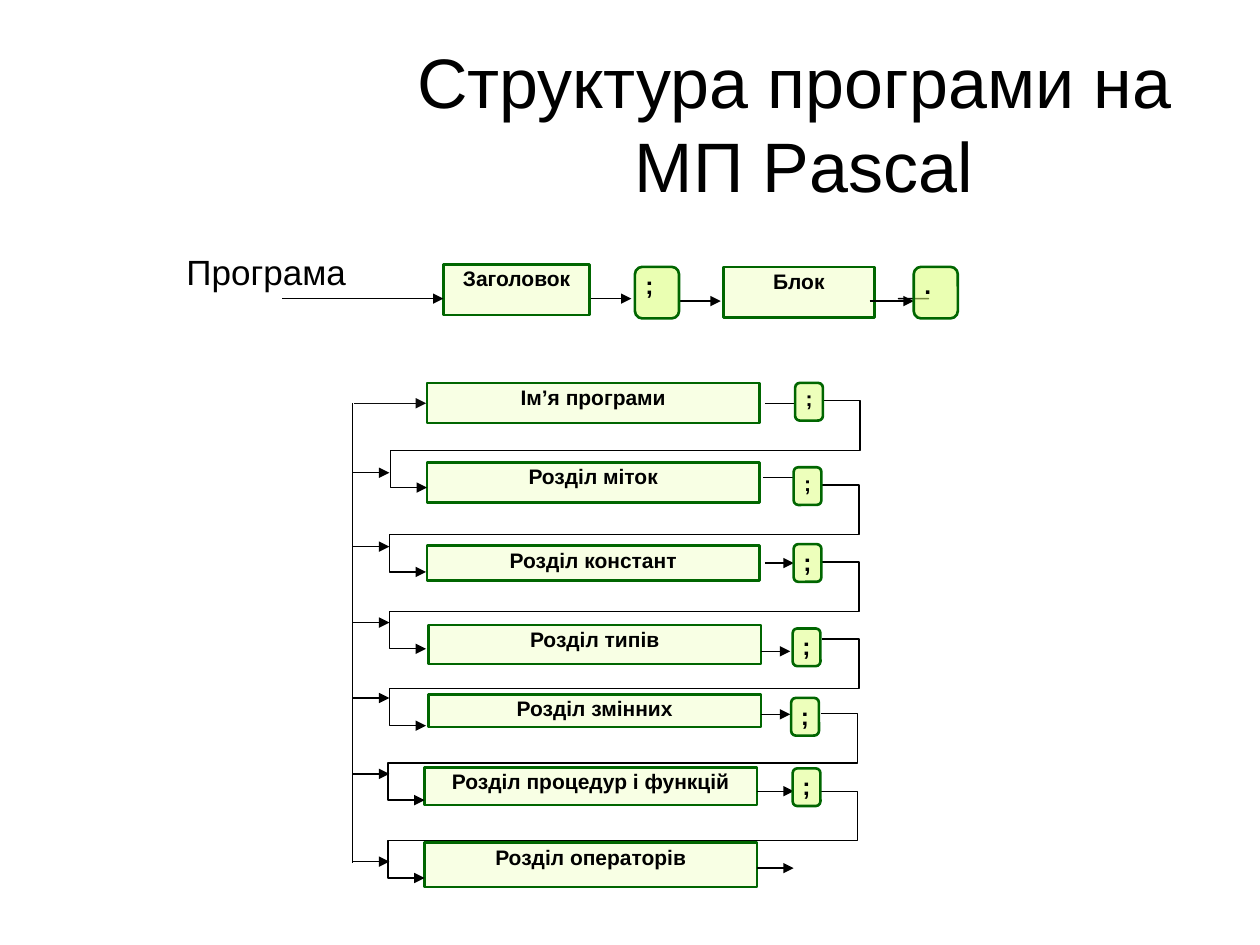
from dataclasses import dataclass
from lxml import etree
from pptx import Presentation
from pptx import util as u
from pptx.dml.color import RGBColor
from pptx.enum import shapes as s, text as t
from pptx.oxml.ns import qn

INK = "000000"
EDGE = "006600"
PALE = "EFFFC1"
LIME = "DAFF71"
STUB = 0.74
DROP = 1.0
SPAN = 9.47
SPINE = 7.11


@dataclass
class Box:
    text: str
    x: float
    y: float
    w: float
    h: float


@dataclass
class Line:
    x: float
    y: float
    end: float
    head: bool = True


@dataclass
class Mark:
    x: float
    y: float
    size: int = 14


@dataclass
class Loop:
    x: float
    y: float


PARTS = [
    Box("Ім’я програми", 8.61, 7.72, 6.7, 0.81),
    Box("Розділ міток", 8.61, 9.32, 6.7, 0.81),
    Box("Розділ констант", 8.61, 11.0, 6.7, 0.71),
    Box("Розділ типів", 8.64, 12.6, 6.7, 0.79),
    Box("Розділ змінних", 8.64, 14.0, 6.7, 0.66),
    Box("Розділ процедур і функцій", 8.56, 15.47, 6.7, 0.76),
    Box("Розділ операторів", 8.56, 16.99, 6.7, 0.89),
]
EXITS = [
    Line(15.42, 8.13, 16.0, False), Line(15.39, 9.63, 15.98, False),
    Line(15.42, 11.35, 16.0), Line(15.34, 13.13, 15.93),
    Line(15.34, 14.4, 15.93), Line(15.27, 15.95, 16.0),
    Line(15.27, 17.5, 16.0),
]
LOOPS = [
    Loop(7.87, 8.08), Loop(7.85, 9.78), Loop(7.85, 11.33),
    Loop(7.85, 12.88), Loop(7.82, 14.38), Loop(7.82, 15.95),
]
MARKS = [
    Mark(16.03, 7.72, 12), Mark(16.0, 9.42, 12), Mark(16.0, 10.97),
    Mark(15.98, 12.67), Mark(15.95, 14.07), Mark(15.98, 15.49),
]
ENTRIES = [9.53, 11.02, 12.55, 14.07, 15.6, 17.37]
HEADS = [Box("Заголовок", 8.94, 5.33, 2.95, 1.02),
         Box("Блок", 14.58, 5.38, 3.05, 1.02)]
FLOW = [Line(5.69, 6.02, 8.94), Line(11.91, 6.02, 12.73),
        Line(13.69, 6.07, 14.53), Line(17.53, 6.07, 18.42)]
SIGNS = [Box(";", 12.8, 5.38, 0.89, 1.04), Box(".", 18.42, 5.38, 0.89, 1.04)]

deck = Presentation()
deck.slide_width, deck.slide_height = u.Cm(25.4), u.Cm(19.05)
page = deck.slides.add_slide(deck.slide_layouts[6])
draw = page.shapes


def hue(code: str) -> RGBColor:
    return RGBColor.from_string(code)


def write(shape, words: str, size: float = 12, bold: bool = True,
          align=t.PP_ALIGN.CENTER, anchor=t.MSO_ANCHOR.TOP,
          side: float = 0.03, left: float = 0.03, edge: float = 0.03) -> None:
    frame = shape.text_frame
    frame.word_wrap = True
    frame.vertical_anchor = anchor
    frame.margin_left, frame.margin_right = u.Cm(left), u.Cm(side)
    frame.margin_top = frame.margin_bottom = u.Cm(edge)
    frame.text = words
    para = frame.paragraphs[0]
    para.alignment = align
    for run in para.runs:
        run.font.name, run.font.size = "Arial", u.Pt(size)
        run.font.bold = bold
        run.font.color.rgb = hue(INK)


def label(box: Box, **look) -> None:
    area = draw.add_textbox(*map(u.Cm, (box.x, box.y, box.w, box.h)))
    write(area, box.text, bold=False, side=0.25, left=0.25, edge=0.13, **look)


def panel(box: Box, fill: str, clear: int, kind=s.MSO_SHAPE.RECTANGLE,
          **look) -> None:
    shape = draw.add_shape(kind, *map(u.Cm, (box.x, box.y, box.w, box.h)))
    shape.shadow.inherit = False
    shape.fill.solid()
    shape.fill.fore_color.rgb = hue(fill)
    tone = shape.fill._xPr.find(qn("a:solidFill"))[0]
    etree.SubElement(tone, qn("a:alpha"), val=str(clear * 1000))
    shape.line.color.rgb = hue(EDGE)
    shape.line.width = u.Pt(1.5)
    write(shape, box.text, **look)


def stroke(shape, head: bool, tone: str = INK) -> None:
    shape.line.color.rgb = hue(tone)
    shape.line.width = u.Pt(0.75)
    if head:
        pen = shape.line._get_or_add_ln()
        etree.SubElement(pen, qn("a:tailEnd"), type="triangle")


def link(x: float, y: float, end: float, base: float, head: bool,
         tone: str = INK) -> None:
    wire = draw.add_connector(s.MSO_CONNECTOR.STRAIGHT,
                              *map(u.Cm, (x, y, end, base)))
    stroke(wire, head, tone)
    etree.SubElement(wire._element.spPr, qn("a:effectLst"))


def level(line: Line, tone: str = INK) -> None:
    link(line.x, line.y, line.end, line.y, line.head, tone)


def bend(loop: Loop) -> None:
    right, mid = loop.x + SPAN, loop.y + DROP
    low = mid + 0.75
    dots = [(right - STUB, loop.y), (right, loop.y), (right, mid),
            (loop.x, mid), (loop.x, low), (loop.x + STUB, low)]
    first, *rest = [(u.Cm(x), u.Cm(y)) for x, y in dots]
    path = draw.build_freeform(*first)
    path.add_line_segments(rest, close=False)
    shape = path.convert_to_shape()
    shape.shadow.inherit = False
    shape.fill.background()
    stroke(shape, True)


def dash(x: float) -> None:
    shape = draw.add_shape(s.MSO_SHAPE.OVAL, *map(u.Cm, (x, 6.02, 0.3, 0)))
    shape.shadow.inherit = False
    shape.fill.background()
    stroke(shape, False)


def main() -> None:
    label(Box("Структура програми на \vМП Pascal", 6.91, 1.12, 18.59, 2.72),
          size=40, anchor=t.MSO_ANCHOR.MIDDLE)
    label(Box("Програма", 3.51, 4.93, 22.86, 12.57),
          size=20, align=t.PP_ALIGN.LEFT)
    for y in ENTRIES:
        level(Line(SPINE, y, SPINE + STUB))
    for part in PARTS:
        panel(part, PALE, 42)
    for line in EXITS:
        level(line)
    for loop in LOOPS:
        bend(loop)
    for mark in MARKS:
        panel(Box(";", mark.x, mark.y, 0.56, 0.76), LIME, 48,
              s.MSO_SHAPE.ROUNDED_RECTANGLE, size=mark.size)
    link(SPINE, 8.13, SPINE, 17.4, False)
    level(Line(7.14, 8.13, 8.59), "0D0D0D")
    for box in HEADS:
        panel(box, PALE, 49)
    for line in FLOW:
        level(line)
    for x in (18.42, 18.11):
        dash(x)
    for sign in SIGNS:
        panel(sign, LIME, 54, s.MSO_SHAPE.ROUNDED_RECTANGLE, size=14,
              align=t.PP_ALIGN.JUSTIFY, left=0.17)
    deck.save("out.pptx")


if __name__ == "__main__":
    main()
